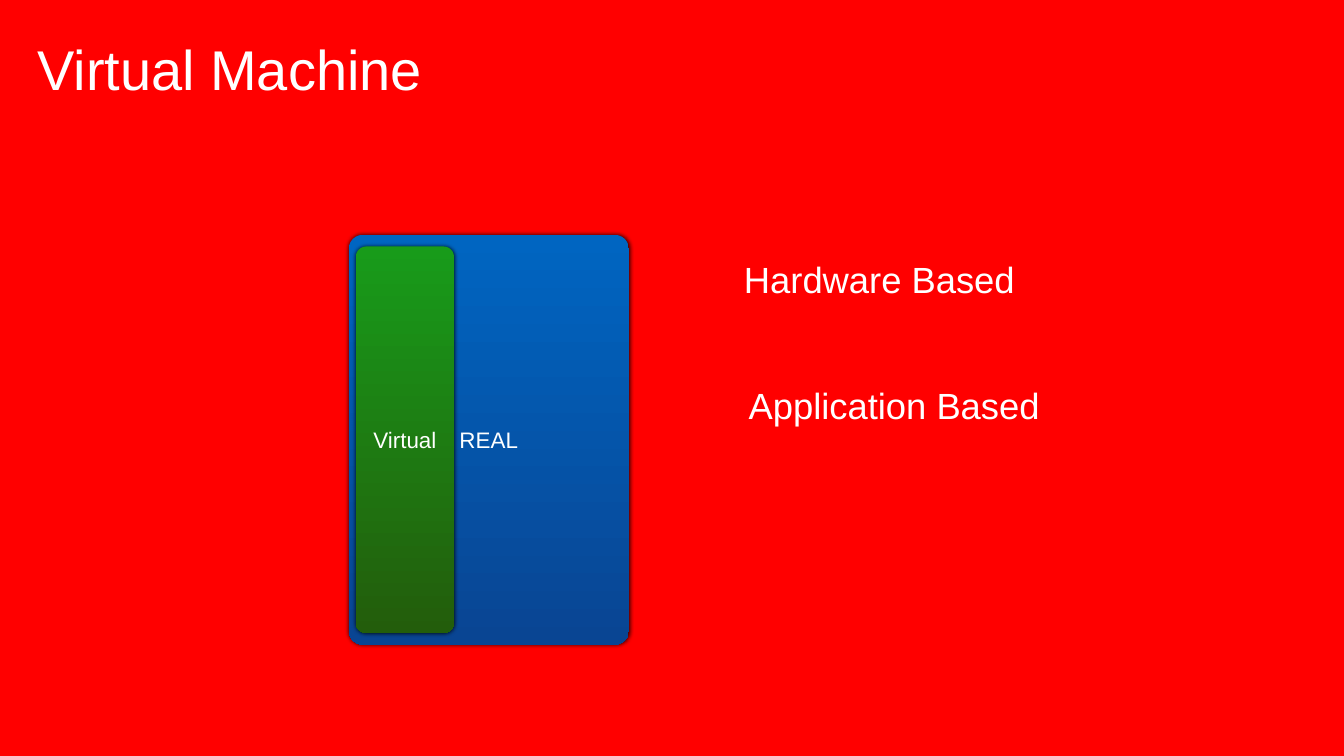
from lxml import etree
from pptx import Presentation
from pptx.dml.color import RGBColor
from pptx.enum.shapes import MSO_SHAPE
from pptx.enum.text import MSO_ANCHOR, MSO_AUTO_SIZE, PP_ALIGN
from pptx.oxml.ns import qn
from pptx.util import Inches, Pt

ROUNDED_RECTANGLE = MSO_SHAPE.ROUNDED_RECTANGLE
MIDDLE = MSO_ANCHOR.MIDDLE
NO_AUTO_SIZE = MSO_AUTO_SIZE.NONE
CENTER = PP_ALIGN.CENTER

RED = RGBColor(0xFF, 0x00, 0x00)
WHITE = RGBColor(0xFF, 0xFF, 0xFF)
BLUE_TOP = RGBColor(0x00, 0x65, 0xC1)
BLUE_BOTTOM = RGBColor(0x09, 0x45, 0x93)
GREEN_TOP = RGBColor(0x18, 0x9B, 0x1A)
GREEN_BOTTOM = RGBColor(0x23, 0x5D, 0x0B)


def write_text(shape, text, size, wrap):
    frame = shape.text_frame
    frame.word_wrap = wrap
    frame.auto_size = NO_AUTO_SIZE
    frame.vertical_anchor = MIDDLE
    frame.margin_left = frame.margin_right = Inches(0.06)
    frame.margin_top = frame.margin_bottom = Inches(0.06)
    paragraph = frame.paragraphs[0]
    paragraph.alignment = CENTER
    run = paragraph.add_run()
    run.text = text
    run.font.size = Pt(size)
    run.font.name = "Arial"
    run.font.color.rgb = WHITE


def add_soft_shadow(shape):
    shape.shadow.inherit = False
    effects = shape.fill._xPr.find(qn("a:effectLst"))
    shadow = etree.SubElement(effects, qn("a:outerShdw"), blurRad=str(Pt(6)),
                              dist="0", dir="18900000", rotWithShape="0")
    color = etree.SubElement(shadow, qn("a:srgbClr"), val="000000")
    etree.SubElement(color, qn("a:alpha"), val="80000")


presentation = Presentation()
presentation.slide_width = Inches(26.67)
presentation.slide_height = Inches(15)
slide = presentation.slides.add_slide(presentation.slide_layouts[5])
slide.background.fill.solid()
slide.background.fill.fore_color.rgb = RED

title = slide.shapes.title
title.left, title.top = Inches(0.67), Inches(0.64)
title.width, title.height = Inches(7.78), Inches(1.44)
write_text(title, "Virtual Machine", 80, False)

# The virtual machine sits inside the real one
machines = [
    ("REAL", 6.92, 4.66, 5.56, 8.13, 0.05, BLUE_TOP, BLUE_BOTTOM),
    ("Virtual", 7.06, 4.89, 1.95, 7.67, 0.107, GREEN_TOP, GREEN_BOTTOM),
]
for name, left, top, width, height, rounding, top_color, bottom_color in machines:
    machine = slide.shapes.add_shape(ROUNDED_RECTANGLE, Inches(left), Inches(top),
                                     Inches(width), Inches(height))
    machine.adjustments[0] = rounding
    machine.fill.gradient()
    machine.fill.gradient_angle = 270
    for stop, color, position in zip(machine.fill.gradient_stops,
                                     (top_color, bottom_color), (0, 1)):
        stop.color.rgb = color
        stop.position = position
    machine.line.fill.background()
    add_soft_shadow(machine)
    write_text(machine, name, 32, True)

kinds = [("Hardware Based", 14.67, 5.05, 5.56), ("Application Based", 14.71, 7.55, 6.07)]
for kind, left, top, width in kinds:
    label = slide.shapes.add_textbox(Inches(left), Inches(top), Inches(width), Inches(0.97))
    write_text(label, kind, 52, False)

presentation.save("out.pptx")
